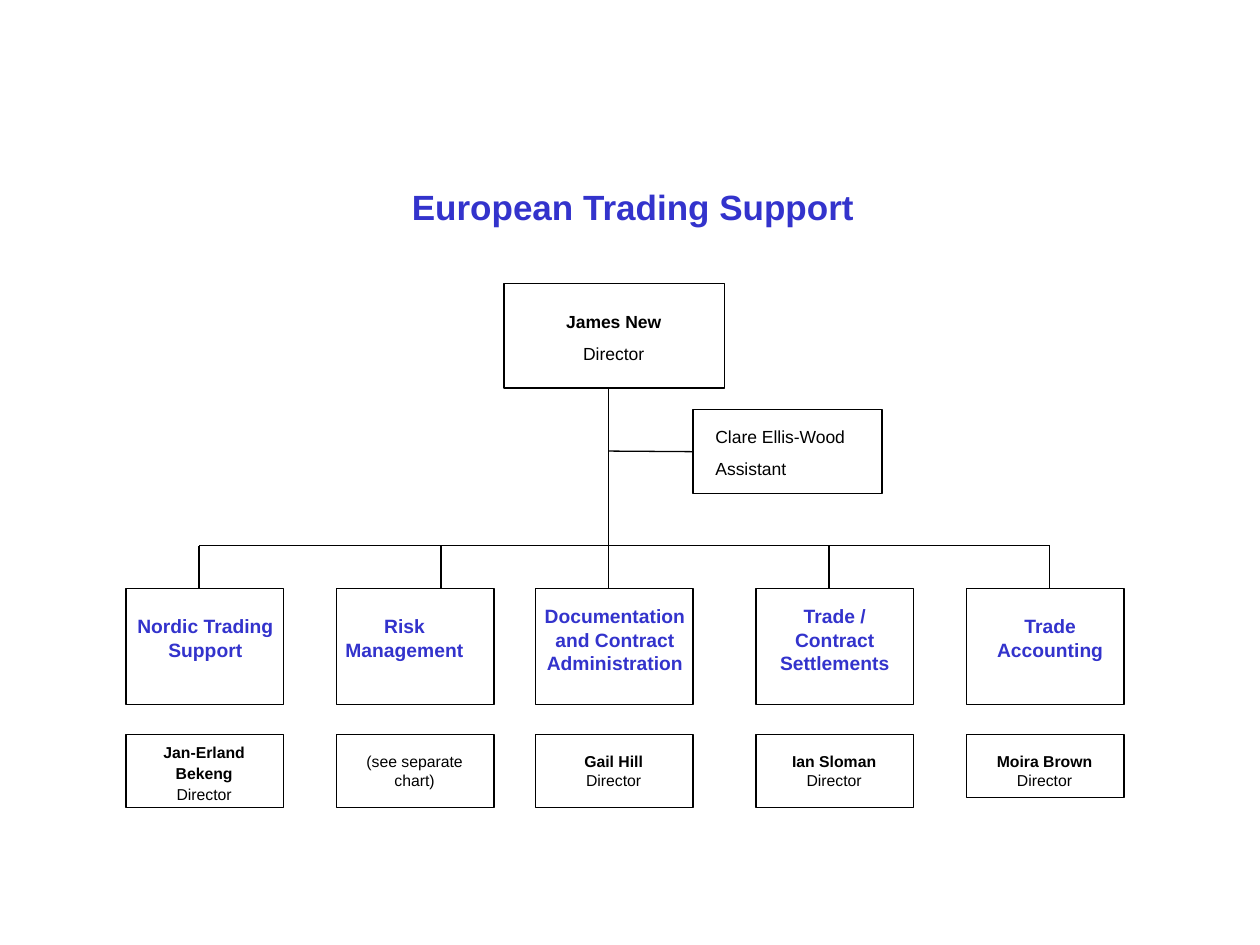
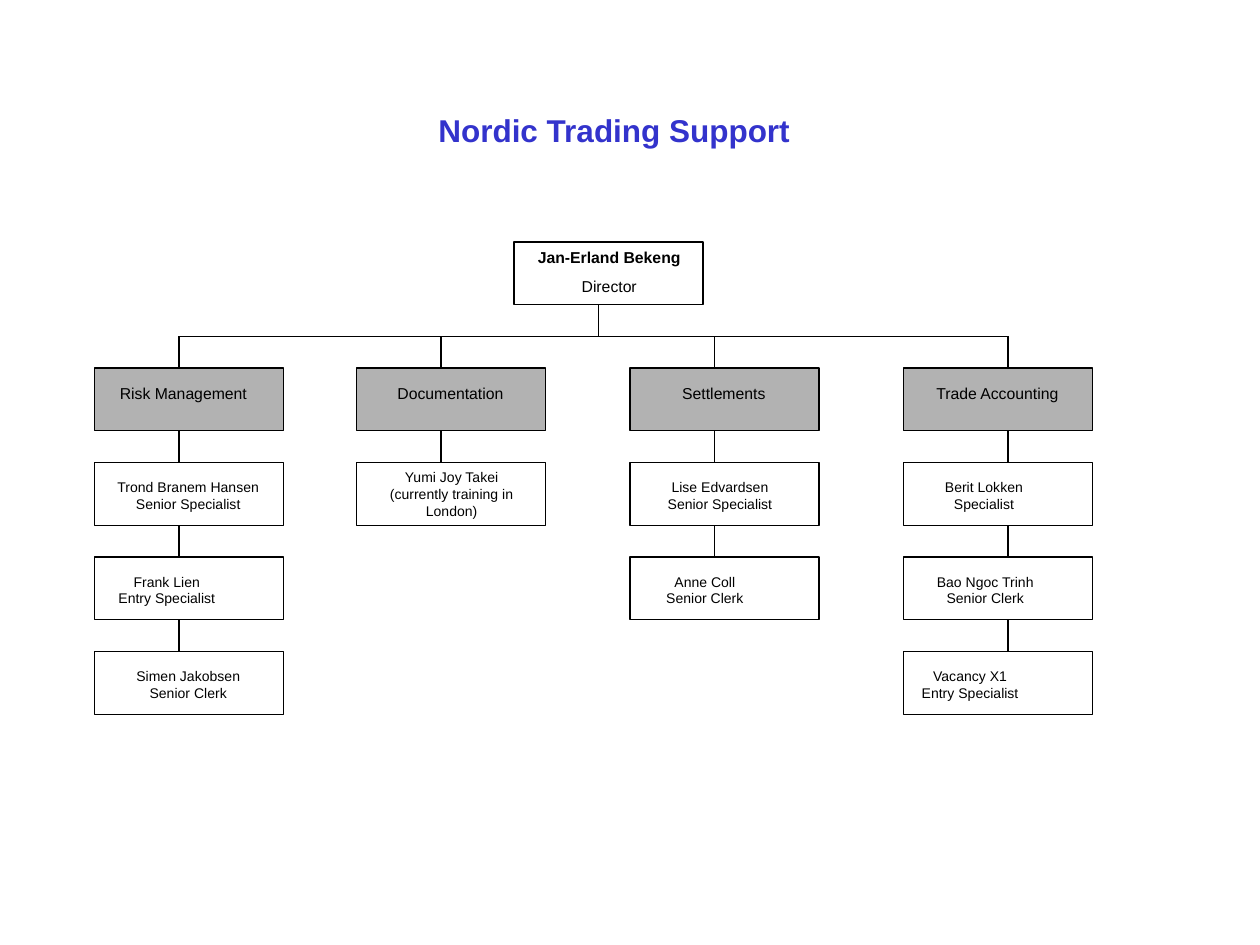
from dataclasses import dataclass

from lxml import etree
from pptx import Presentation
from pptx.dml.color import RGBColor
from pptx.enum.shapes import MSO_CONNECTOR, MSO_SHAPE
from pptx.enum.text import MSO_AUTO_SIZE, PP_ALIGN
from pptx.oxml.ns import qn
from pptx.util import Inches, Pt

RECTANGLE = MSO_SHAPE.RECTANGLE
STRAIGHT = MSO_CONNECTOR.STRAIGHT
GROW = MSO_AUTO_SIZE.SHAPE_TO_FIT_TEXT
LEFT, CENTER = PP_ALIGN.LEFT, PP_ALIGN.CENTER
LEFT_SIDE = 1

FONT = "Arial"
BLUE, BLACK, WHITE, GREY = "3333CC", "000000", "FFFFFF", "B2B2B2"
LINE_WIDTH = 0.75
INSET = 0.08


@dataclass
class Unit:
    left: float
    drop: float
    name: str
    name_box: tuple
    person: list
    bold_lines: int = 1
    person_top: float = 5.92
    person_height: float = 0.58
    spacing: float = 1.0


@dataclass
class Team:
    left: float
    drop: float
    name: str
    people: list
    text_left: float
    text_width: float = 1.33


UNITS = [
    Unit(1, 1.58, "Nordic Trading Support", (0.92, 4.83, 1.42, 0.47),
         ["Jan-Erland Bekeng", "Director"], person_top=5.83, spacing=1.1),
    Unit(2.67, 3.5, "Risk Management", (2.5, 4.83, 1.42, 0.47),
         ["(see separate chart)"], bold_lines=0),
    Unit(4.25, 4.83, "Documentation and Contract Administration",
         (4.17, 4.75, 1.42, 0.65), ["Gail Hill", "Director"]),
    Unit(6, 6.58, "Trade / Contract Settlements", (6, 4.75, 1.25, 0.65),
         ["Ian Sloman", "Director"]),
    Unit(7.67, 8.33, "Trade Accounting", (7.67, 4.83, 1.33, 0.47),
         ["Moira Brown", "Director"], person_height=0.5),
]

TEAMS = [
    Team(0.75, 1.42, "Risk Management", [
        ("Trond Branem Hansen", "Senior Specialist", 0),
        ("Frank Lien", "Entry Specialist", 0.34),
        ("Simen Jakobsen", "Senior Clerk", 0)], 0.83),
    Team(2.83, 3.5, "Documentation", [
        ("Yumi Joy Takei", "(currently training in London)", 0)], 2.92),
    Team(5, 5.67, "Settlements", [
        ("Lise Edvardsen", "Senior Specialist", 0.06),
        ("Anne Coll", "Senior Clerk", 0.3)], 5.08),
    Team(7.17, 8, "Trade Accounting", [
        ("Berit Lokken", "Specialist", 0.22),
        ("Bao Ngoc Trinh", "Senior Clerk", 0.2),
        ("Vacancy X1", "Entry Specialist", 0.44)], 7.17, 1.5),
]


def color(value):
    return RGBColor.from_string(value)


def add_box(slide, left, top, width, height, fill=WHITE):
    shape = slide.shapes.add_shape(
        RECTANGLE, Inches(left), Inches(top), Inches(width), Inches(height))
    shape.shadow.inherit = False
    if fill:
        shape.fill.solid()
        shape.fill.fore_color.rgb = color(fill)
    else:
        shape.fill.background()
    shape.line.color.rgb = color(BLACK)
    shape.line.width = Pt(LINE_WIDTH)
    return shape


def add_line(slide, x1, y1, x2, y2):
    connector = slide.shapes.add_connector(
        STRAIGHT, Inches(x1), Inches(y1), Inches(x2), Inches(y2))
    connector.line.color.rgb = color(BLACK)
    connector.line.width = Pt(LINE_WIDTH)
    properties = connector._element.find(qn("p:spPr"))
    etree.SubElement(properties, qn("a:effectLst"))
    return connector


def add_text(slide, box, lines, size, text_color=BLACK, bold_lines=0,
             align=CENTER, gap=0, spacing=1.0, first_right_indent=0):
    text_box = slide.shapes.add_textbox(*[Inches(value) for value in box])
    text_frame = text_box.text_frame
    text_frame.word_wrap = True
    text_frame.auto_size = GROW
    text_frame.text = "\n".join(lines)
    for index, paragraph in enumerate(text_frame.paragraphs):
        paragraph.alignment = align
        paragraph.line_spacing = spacing
        if index:
            paragraph.space_before = Pt(gap)
        elif first_right_indent:
            paragraph._p.get_or_add_pPr().set(
                "marR", str(Inches(first_right_indent)))
        for run in paragraph.runs:
            run.font.name = FONT
            run.font.size = Pt(size)
            run.font.bold = index < bold_lines
            run.font.color.rgb = color(text_color)


def add_title(slide, text, box, size, align=CENTER):
    add_text(slide, box, [text], size, BLUE, bold_lines=1, align=align)


def add_branches(slide, drops, top, bottom):
    add_line(slide, drops[0], top, drops[-1], top)
    for drop in drops:
        add_line(slide, drop, top, drop, bottom)


def add_unit(slide, unit):
    add_box(slide, unit.left, 4.67, 1.25, 0.92)
    add_text(slide, unit.name_box, [unit.name], 11, BLUE, bold_lines=1)
    add_box(slide, unit.left, 5.83, 1.25, unit.person_height, fill=None)
    add_text(slide, (unit.left + INSET, unit.person_top, 1.08, 0.4),
             unit.person, 9, bold_lines=unit.bold_lines, spacing=unit.spacing)


def add_team(slide, team):
    top, height, pitch = 2.92, 0.5, 0.75
    add_box(slide, team.left, top, 1.5, height, GREY)
    add_text(slide, (team.left + INSET, top + INSET,
                     1.25 if team is TEAMS[0] else 1.33, 0.25),
             [team.name], 9)
    for name, role, right_indent in team.people:
        add_line(slide, team.drop, top + height, team.drop, top + pitch)
        top += pitch
        add_box(slide, team.left, top, 1.5, height)
        text_top = top if "(" in role else top + INSET
        add_text(slide, (team.text_left, text_top, team.text_width, 0.37),
                 [name, role], 8, first_right_indent=right_indent)


def build_european_support(slide):
    add_title(slide, "European Trading Support",
              (3.17, 1.42, 3.75, 0.44), 20, LEFT)
    add_box(slide, 4, 2.25, 1.75, 0.83)
    add_text(slide, (4.08, 2.42, 1.58, 0.52), ["James New", "Director"],
             10, bold_lines=1, gap=6.2)
    assistant = add_box(slide, 5.5, 3.25, 1.5, 0.67)
    add_text(slide, (5.58, 3.33, 1.33, 0.52),
             ["Clare Ellis-Wood", "Assistant"], 10, align=LEFT, gap=6.2)
    add_line(slide, 4.83, 3.08, 4.83, 4.33)
    branch = add_line(slide, 4.83, 3.58, 5.5, 3.58)
    branch.end_connect(assistant, LEFT_SIDE)
    add_branches(slide, [unit.drop for unit in UNITS], 4.33, 4.67)
    for unit in UNITS:
        add_unit(slide, unit)


def build_nordic_support(slide):
    add_title(slide, "Nordic Trading Support", (2.25, 0.83, 5.25, 0.4), 18)
    add_box(slide, 4.08, 1.92, 1.5, 0.5)
    add_text(slide, (4.17, 1.92, 1.33, 0.48),
             ["Jan-Erland Bekeng", "Director"], 9, bold_lines=1, gap=5.6)
    add_line(slide, 4.75, 2.42, 4.75, 2.67)
    add_branches(slide, [team.drop for team in TEAMS], 2.67, 2.92)
    for team in TEAMS:
        add_team(slide, team)


def main():
    presentation = Presentation()
    presentation.slide_width = Inches(10)
    presentation.slide_height = Inches(7.5)
    blank = presentation.slide_layouts[6]
    for build in (build_european_support, build_nordic_support):
        build(presentation.slides.add_slide(blank))
    presentation.save("out.pptx")


if __name__ == "__main__":
    main()
